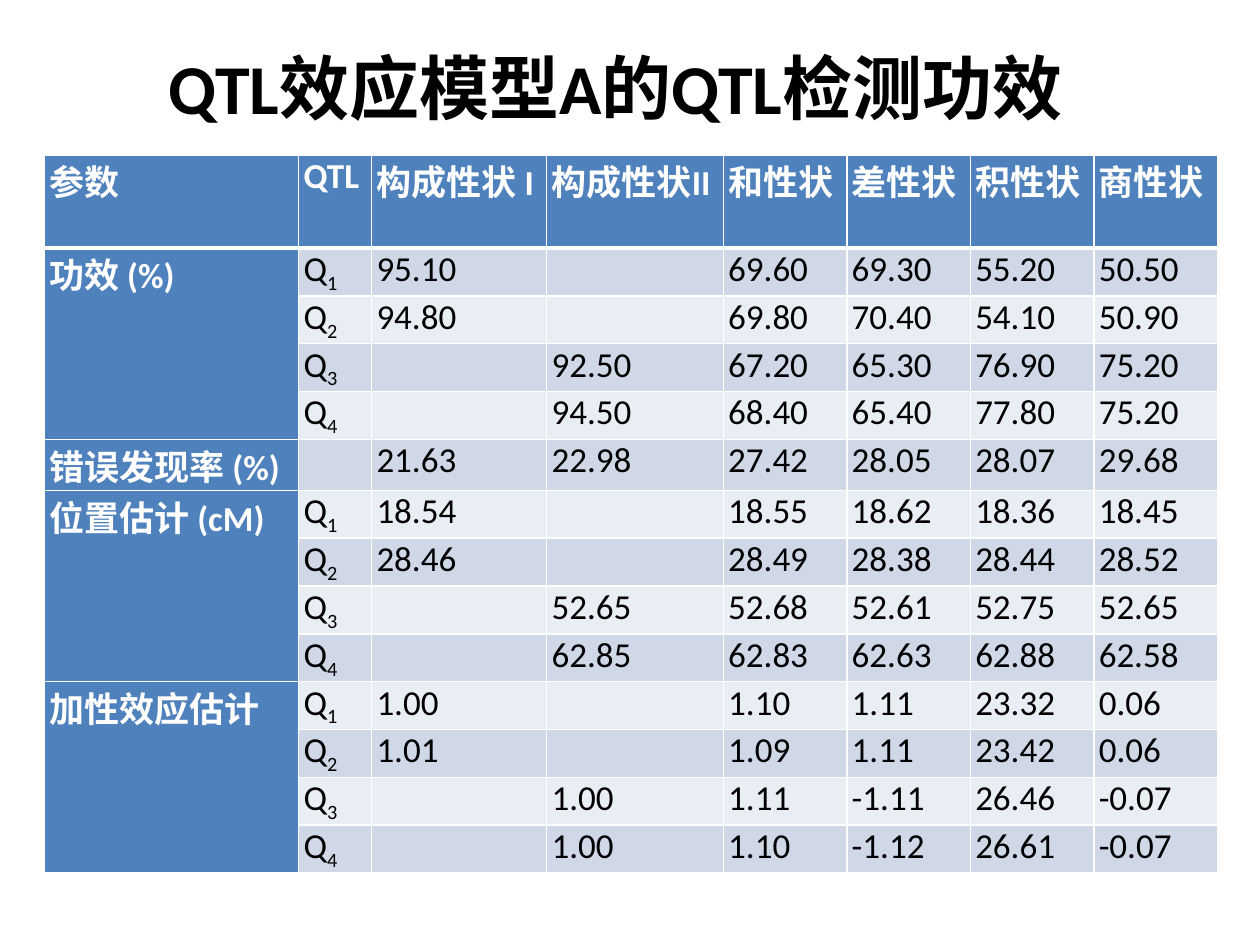
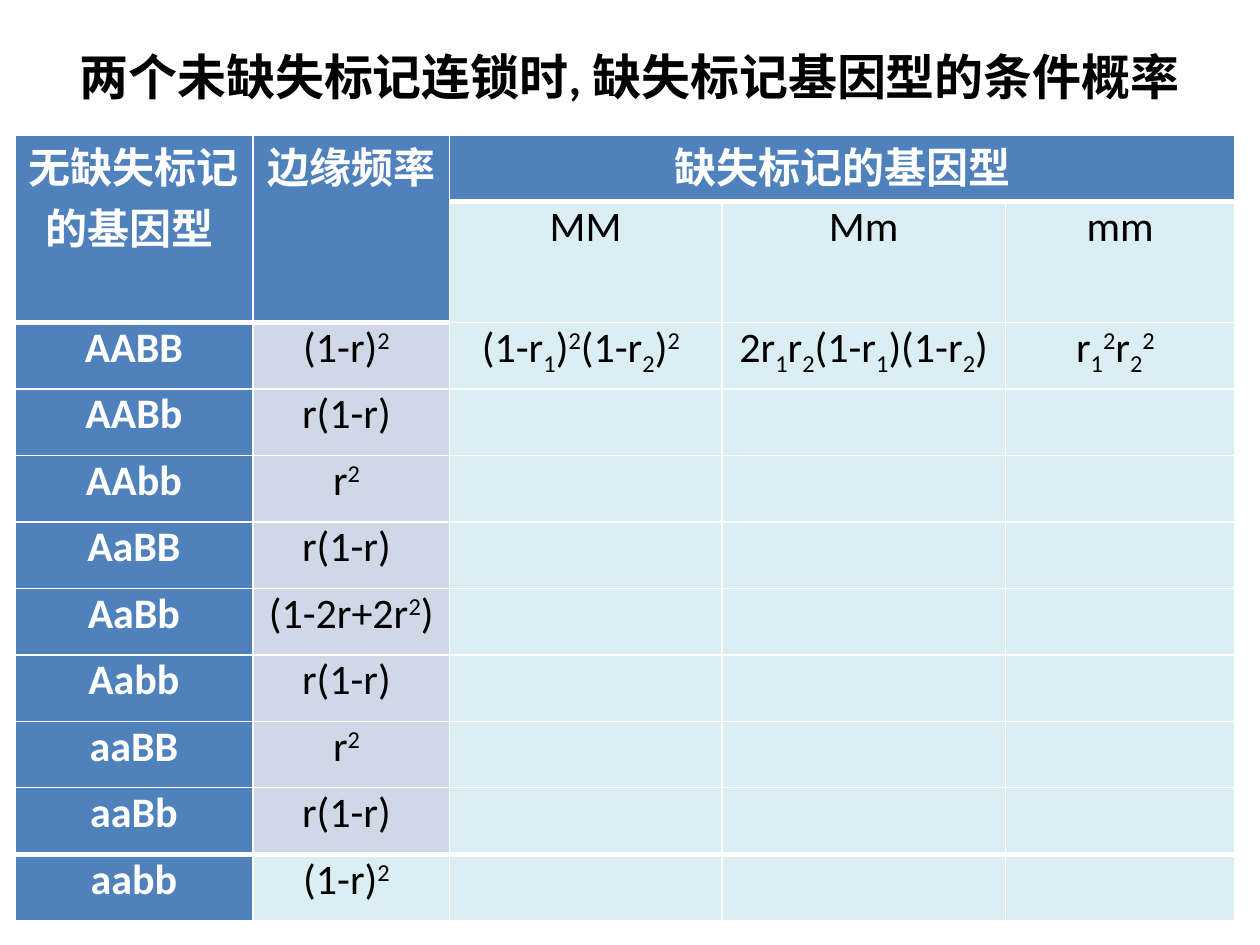
from pptx import Presentation
from pptx.dml.color import RGBColor
from pptx.enum.lang import MSO_LANGUAGE_ID as LANG
from pptx.enum.text import MSO_ANCHOR as ANCHOR, PP_ALIGN as ALIGN
from pptx.oxml import parse_xml
from pptx.oxml.ns import nsdecls
from pptx.util import Cm, Pt

BLUE, BAND, PALE, AQUA = "4F81BD", "D0D8E8", "E9EDF4", "DBEEF4"
WHITE, BLACK = "FFFFFF", "000000"
BASELINES = {"_": "-25000", "^": "30000"}


def rgb(hex_code):
    return RGBColor.from_string(hex_code)


def split_scripts(text):
    for part in text.replace("_", "|_").replace("^", "|^").split("|"):
        if part[:1] in BASELINES:
            yield part[1], BASELINES[part[0]]
            part = part[2:]
        if part:
            yield part, None


def write(tf, text, size=20, color=BLACK, bold=False, align=ALIGN.LEFT):
    p = tf.paragraphs[0]
    p.alignment = align
    for piece, baseline in split_scripts(text):
        r = p.add_run()
        r.text = piece
        r.font.name, r.font.size, r.font.bold = "Calibri", Pt(size), bold
        r.font.color.rgb = rgb(color)
        r.font.language_id = LANG.SIMPLIFIED_CHINESE
        if baseline:
            r._r.get_or_add_rPr().set("baseline", baseline)


class Deck:
    def __init__(self):
        self.prs = Presentation()
        self.prs.slide_width, self.prs.slide_height = Cm(25.4), Cm(19.05)

    def slide(self):
        self.s = self.prs.slides.add_slide(self.prs.slide_layouts[6])

    def title(self, text, box, size):
        tf = self.s.shapes.add_textbox(*map(Cm, box)).text_frame
        tf.word_wrap, tf.vertical_anchor = True, ANCHOR.MIDDLE
        tf.margin_left = tf.margin_right = 0
        write(tf, text, size, bold=True, align=ALIGN.CENTER)

    def borders(self, cell, top, bottom):
        tcPr = cell._tc.get_or_add_tcPr()
        for side, width in zip("LRTB", (1, 1, top, bottom)):
            tcPr.append(parse_xml(
                f'<a:ln{side} {nsdecls("a")} w="{Pt(width)}"><a:solidFill>'
                f'<a:srgbClr val="{WHITE}"/></a:solidFill></a:ln{side}>'))

    def table(self, rows, left, top, widths, heights, fill_at, thick_above,
              merges, inset, **text_format):
        table = self.s.shapes.add_table(
            len(heights), len(widths), Cm(left), Cm(top),
            Cm(sum(widths)), Cm(sum(heights))).table
        table.first_row = table.horz_banding = False
        for column, width in zip(table.columns, widths):
            column.width = Cm(width)
        for row, height in zip(table.rows, heights):
            row.height = Cm(height)
        for i, row in enumerate(rows):
            for j, text in enumerate(row):
                cell, fill = table.cell(i, j), fill_at(i, j)
                cell.margin_left = cell.margin_right = Cm(inset)
                cell.margin_top = cell.margin_bottom = 0
                self.borders(cell, 3 if thick_above(i, j) else 1,
                             3 if thick_above(i + 1, j) else 1)
                cell.fill.solid()
                cell.fill.fore_color.rgb = rgb(fill)
                heading = fill == BLUE
                write(cell.text_frame, text, bold=heading,
                      color=WHITE if heading else BLACK, **text_format)
        for first, last in merges:
            table.cell(*first).merge(table.cell(*last))


POWER_ROWS = [
    ["参数", "QTL", "构成性状 I", "构成性状II", "和性状", "差性状", "积性状", "商性状"],
    ["功效 (%)", "Q_1", "95.10", "", "69.60", "69.30", "55.20", "50.50"],
    ["", "Q_2", "94.80", "", "69.80", "70.40", "54.10", "50.90"],
    ["", "Q_3", "", "92.50", "67.20", "65.30", "76.90", "75.20"],
    ["", "Q_4", "", "94.50", "68.40", "65.40", "77.80", "75.20"],
    ["错误发现率 (%)", "", "21.63", "22.98", "27.42", "28.05", "28.07", "29.68"],
    ["位置估计 (cM)", "Q_1", "18.54", "", "18.55", "18.62", "18.36", "18.45"],
    ["", "Q_2", "28.46", "", "28.49", "28.38", "28.44", "28.52"],
    ["", "Q_3", "", "52.65", "52.68", "52.61", "52.75", "52.65"],
    ["", "Q_4", "", "62.85", "62.83", "62.63", "62.88", "62.58"],
    ["加性效应估计", "Q_1", "1.00", "", "1.10", "1.11", "23.32", "0.06"],
    ["", "Q_2", "1.01", "", "1.09", "1.11", "23.42", "0.06"],
    ["", "Q_3", "", "1.00", "1.11", "-1.11", "26.46", "-0.07"],
    ["", "Q_4", "", "1.00", "1.10", "-1.12", "26.61", "-0.07"],
]

MARGINAL_FREQUENCIES = {
    "AABb": "r(1-r) ", "AAbb": "r^2 ", "AaBB": "r(1-r) ",
    "AaBb": "(1-2r+2r^2)", "Aabb": "r(1-r) ", "aaBB": "r^2 ",
    "aaBb": "r(1-r) ", "aabb": "(1-r)^2 ",
}
GENOTYPE_ROWS = [
    ["无缺失标记的基因型 ", "边缘频率", "缺失标记的基因型", "", ""],
    ["", "", "MM", "Mm", "mm"],
    ["AABB", "(1-r)^2 ", "(1-r_1)^2(1-r_2)^2 ", "2r_1r_2(1-r_1)(1-r_2)",
     "r_1^2r_2^2 "],
    *([genotype, frequency, "", "", ""]
      for genotype, frequency in MARGINAL_FREQUENCIES.items()),
]
LAST_GENOTYPE = len(GENOTYPE_ROWS) - 1


def power_fill(i, j):
    if i == 0 or j == 0:
        return BLUE
    return BAND if i % 2 else PALE


def genotype_fill(i, j):
    if i == 0 or j == 0 or (i, j) == (1, 1):
        return BLUE
    return BAND if j == 1 and i < LAST_GENOTYPE else AQUA


def genotype_thick(i, j):
    return i == LAST_GENOTYPE or i == (2 if j < 2 else 1)


def main():
    deck = Deck()

    deck.slide()
    deck.title("QTL效应模型A的QTL检测功效", (0.71, 0.74, 23.39, 2.01), 40)
    deck.table(POWER_ROWS, 0.89, 3.12,
               [5.13, 1.47, 3.53, 3.56] + [2.49] * 4,
               [1.88] + [0.96] * 4 + [1.03] + [0.96] * 8,
               power_fill, lambda i, j: i == 1,
               [((i, 0), (i + 3, 0)) for i in (1, 6, 10)], 0.1)

    deck.slide()
    deck.title("两个未缺失标记连锁时, 缺失标记基因型的条件概率",
               (0.89, 0.76, 23.6, 1.55), 28)
    deck.table(GENOTYPE_ROWS, 0.3, 2.72,
               [4.8, 3.96, 5.49, 5.72, 4.62],
               [1.34, 2.44] + [1.34] * 9,
               genotype_fill, genotype_thick,
               [((0, 0), (1, 0)), ((0, 1), (1, 1)), ((0, 2), (0, 4))],
               0.18, size=24, align=ALIGN.CENTER)

    deck.prs.save("out.pptx")


if __name__ == "__main__":
    main()
